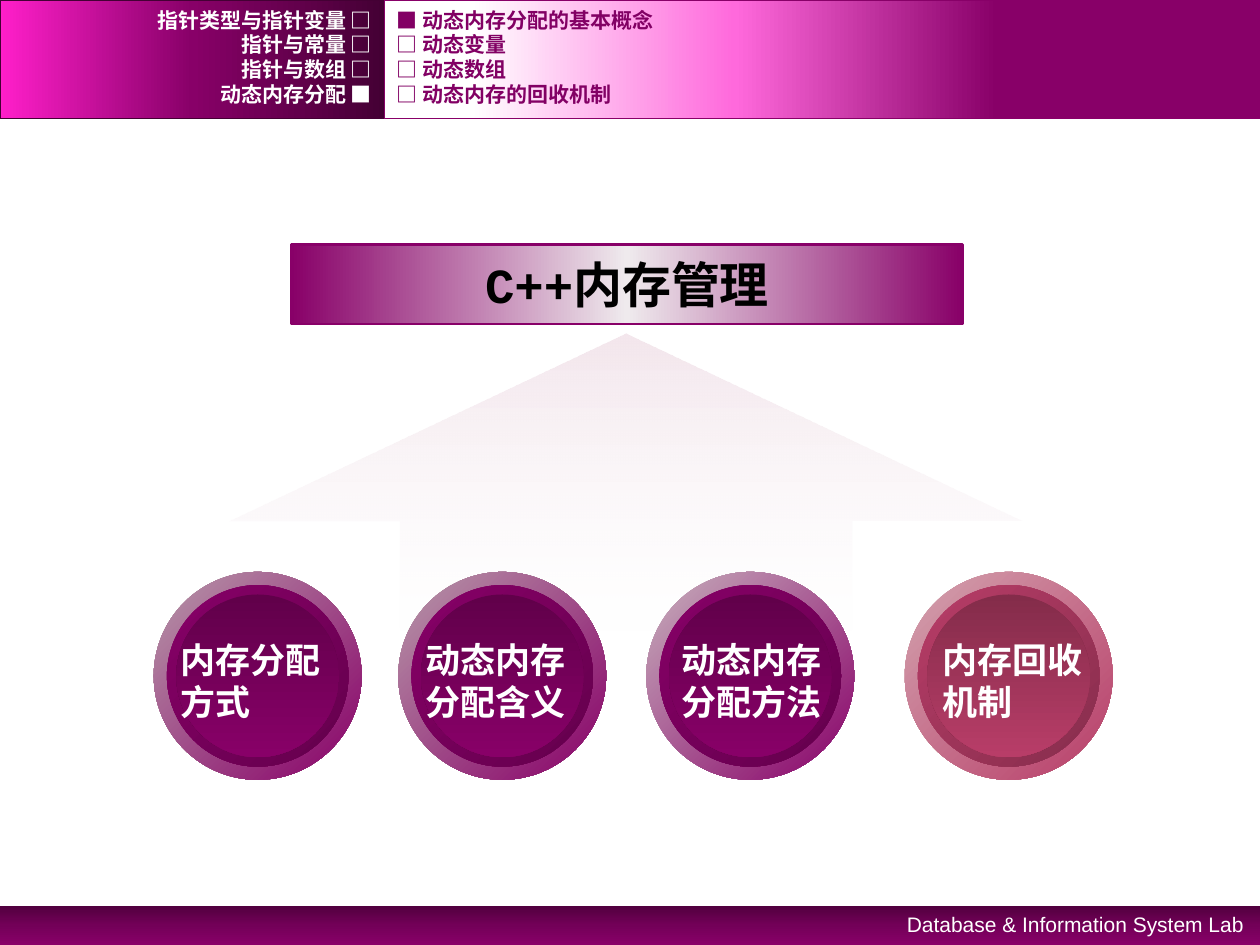
from lxml import etree
from pptx import Presentation
from pptx.dml.color import RGBColor
from pptx.enum.shapes import MSO_SHAPE
from pptx.enum.text import MSO_ANCHOR, MSO_AUTO_SIZE, PP_ALIGN
from pptx.oxml.ns import qn
from pptx.util import Cm, Pt

LEFT, CENTER, RIGHT = PP_ALIGN.LEFT, PP_ALIGN.CENTER, PP_ALIGN.RIGHT
RECT, OVAL, UP_ARROW = MSO_SHAPE.RECTANGLE, MSO_SHAPE.OVAL, MSO_SHAPE.UP_ARROW
MIDDLE, TOP = MSO_ANCHOR.MIDDLE, MSO_ANCHOR.TOP
FIXED, GROW = MSO_AUTO_SIZE.NONE, MSO_AUTO_SIZE.SHAPE_TO_FIT_TEXT

CJK, MONO, SANS = "Noto Sans CJK SC", "Courier New", "Arial"
COLORS = {
    "white": "FFFFFF", "black": "000000", "plum": "880068", "menu": "820064",
    "night": "440034", "magenta": "FF1FCA", "pink": "FF69DC",
    "footer_top": "51003E", "footer_mid": "730058", "glow": "EFEAED",
    "arrow_top": "F4E7ED", "arrow_end": "FBF7F9",
    "plum_rim": "B798A9", "plum_light_rim": "C7B0BD", "plum_ring": "63004C", "plum_core": "61004A",
    "rose": "B83D68", "rose_rim": "D3A3AF", "rose_ring": "862D4C", "rose_core": "842C4A",
}

TITLE = "C++内存管理"
FOOTER = "Database & Information System Lab"
CHAPTERS = ["指针类型与指针变量 □", "指针与常量 □", "指针与数组 □", "动态内存分配 ■"]
SECTIONS = ["■ 动态内存分配的基本概念", "□ 动态变量", "□ 动态数组", "□ 动态内存的回收机制"]
# label lines, disc left, label left, palette family, rim colour
TOPICS = [
    (["内存分配", "方式"], 3.1, 3.38, "plum", "plum_rim"),
    (["动态内存", "分配含义"], 8.03, 8.33, "plum", "plum_rim"),
    (["动态内存", "分配方法"], 13.03, 13.49, "plum", "plum_light_rim"),
    (["内存回收", "机制"], 18.24, 18.75, "rose", "rose_rim"),
]

WIDTH, HEIGHT = 25.4, 19.05
SPLIT, HEADER_HEIGHT = 7.75, 2.39
FOOTER_TOP = 18.26
MENU_TOP, MENU_PITCH = 0.15, 0.5
DISC_TOP, RIM, RING, CORE = 11.53, 4.19, 3.66, 3.28
LABEL_TOP, LABEL_WIDTH, LABEL_HEIGHT = 12.75, 3.38, 1.96


def fill_gradient(shape, angle, stops):
    """Fill with (position, colour[, opacity]) stops, angle clockwise."""
    props = shape._element.spPr
    grad = etree.Element(qn("a:gradFill"), rotWithShape="1")
    stop_list = etree.SubElement(grad, qn("a:gsLst"))
    for position, color, *opacity in stops:
        stop = etree.SubElement(stop_list, qn("a:gs"), pos=str(position * 1000))
        rgb = etree.SubElement(stop, qn("a:srgbClr"), val=COLORS[color])
        for value in opacity:
            etree.SubElement(rgb, qn("a:alpha"), val=str(value * 1000))
    etree.SubElement(grad, qn("a:lin"), ang=str(angle * 60000), scaled="0")
    props.find(qn("a:prstGeom")).addnext(grad)


def set_line(shape, color=None, width=1):
    """Outline a shape, or remove its outline."""
    if color:
        shape.line.color.rgb = RGBColor.from_string(COLORS[color])
        shape.line.width = Pt(width)
    else:
        shape.line.fill.background()


def place(shape, box):
    """Move and size a shape in centimetres."""
    shape.left, shape.top, shape.width, shape.height = map(Cm, box)


def add_gradient_shape(shapes, kind, box, angle, stops, line=None):
    """Add a preset shape with a gradient fill."""
    shape = shapes.add_shape(kind, *map(Cm, box))
    shape.shadow.inherit = False
    fill_gradient(shape, angle, stops)
    set_line(shape, line)
    return shape


def write(shape, lines, font, size, color, bold=True, align=LEFT,
          anchor=TOP, wrap=True, auto_size=FIXED):
    """Write one paragraph per line with a single text style."""
    frame = shape.text_frame
    frame.word_wrap, frame.auto_size = wrap, auto_size
    frame.vertical_anchor = anchor
    for index, line in enumerate(lines):
        paragraph = frame.add_paragraph() if index else frame.paragraphs[0]
        paragraph.alignment = align
        run = paragraph.add_run()
        run.text = line
        run.font.name, run.font.size, run.font.bold = font, Pt(size), bold
        run.font.color.rgb = RGBColor.from_string(COLORS[color])
        latin = run._r.rPr.find(qn("a:latin"))
        latin.addnext(etree.Element(qn("a:ea"), typeface=CJK))


def add_text(shapes, box, lines, *style, **options):
    """Add a text box in centimetres."""
    write(shapes.add_textbox(*map(Cm, box)), lines, *style, **options)


def add_menu(shapes, left, width, entries, color, align):
    """Stack menu entries at an equal pitch in the header."""
    for row, entry in enumerate(entries):
        box = (left, MENU_TOP + row * MENU_PITCH, width, MENU_PITCH)
        add_text(shapes, box, [entry], MONO, 12, color, align=align, anchor=MIDDLE)


def add_disc(shapes, left, family, rim):
    """Group three concentric circles into a bevelled disc."""
    disc = shapes.add_group_shape().shapes
    layers = [
        (RIM, 45, rim, family),
        (RING, 45, family, family + "_ring"),
        (CORE, 90, family + "_core", family),
    ]
    for size, angle, start, end in layers:
        inset = (RIM - size) / 2
        box = (left + inset, DISC_TOP + inset, size, size)
        add_gradient_shape(disc, OVAL, box, angle, [(0, start), (100, end)])


def format_title(title):
    """Turn the title placeholder into the gradient pill."""
    place(title, (5.87, 4.93, 13.54, 1.6))
    pill = etree.SubElement(title._element.spPr, qn("a:prstGeom"), prst="roundRect")
    guides = etree.SubElement(pill, qn("a:avLst"))
    etree.SubElement(guides, qn("a:gd"), name="adj", fmla="val 50000")
    fill_gradient(title, 0, [(0, "plum"), (50, "glow"), (100, "plum")])
    set_line(title, "plum", 1.5)
    write(title, [TITLE], MONO, 28, "black", align=CENTER, anchor=MIDDLE, wrap=False)


deck = Presentation()
deck.slide_width, deck.slide_height = Cm(WIDTH), Cm(HEIGHT)
slide = deck.slides.add_slide(deck.slide_layouts[5])
shapes = slide.shapes
format_title(shapes.title)

add_gradient_shape(shapes, RECT, (0, FOOTER_TOP, WIDTH, HEIGHT - FOOTER_TOP), 90,
                   [(0, "footer_top"), (50, "footer_mid"), (100, "plum")])
add_gradient_shape(shapes, RECT, (0, 0, SPLIT, HEADER_HEIGHT), 180,
                   [(0, "night"), (50, "plum"), (100, "magenta")], "night")
add_gradient_shape(shapes, RECT, (SPLIT, 0, WIDTH - SPLIT, HEADER_HEIGHT), 180,
                   [(30, "plum"), (60, "pink"), (90, "white")], "plum")
add_text(shapes, (16.31, FOOTER_TOP, 9.02, 0.76), [FOOTER], SANS, 12, "white",
         bold=False, align=RIGHT, auto_size=GROW)

arrow = add_gradient_shape(shapes, UP_ARROW, (4.62, 6.73, 16, 5.99), 90,
                           [(0, "arrow_top"), (100, "arrow_end", 0)])
arrow.adjustments[0], arrow.adjustments[1] = 0.57, 0.63

for lines, disc_left, label_left, family, rim in TOPICS:
    add_disc(shapes, disc_left, family, rim)
    add_text(shapes, (label_left, LABEL_TOP, LABEL_WIDTH, LABEL_HEIGHT), lines,
             CJK, 20, "white", wrap=False, auto_size=GROW)

add_menu(shapes, 0, SPLIT, CHAPTERS, "white", RIGHT)
add_menu(shapes, SPLIT, 15.29, SECTIONS, "menu", LEFT)

deck.save("out.pptx")
